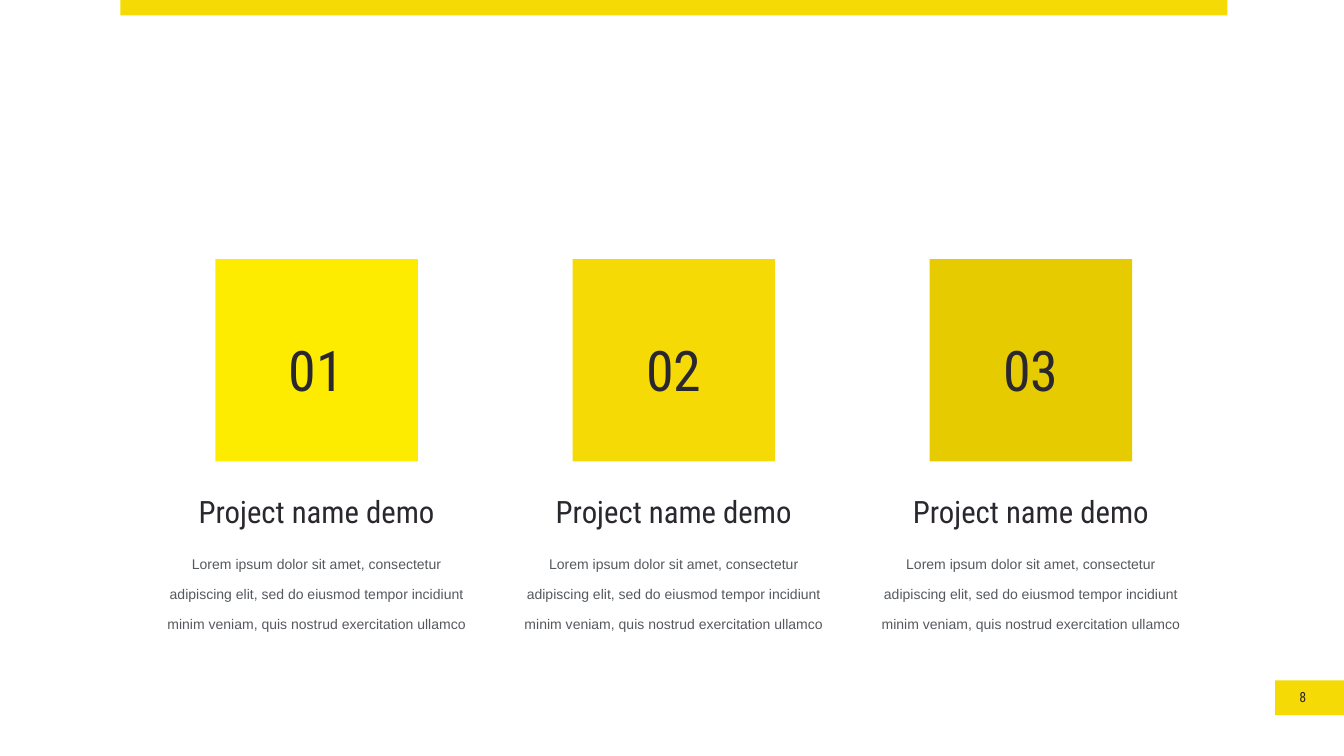
from dataclasses import dataclass

from pptx import Presentation
from pptx.dml.color import RGBColor
from pptx.enum.shapes import MSO_SHAPE
from pptx.enum.text import MSO_ANCHOR, PP_ALIGN
from pptx.util import Cm, Pt


@dataclass(frozen=True)
class Theme:
    """Colours, fonts and type sizes of the slide."""
    yellow: str = "F5DA06"
    squares: tuple = ("FDEC00", "F5DA06", "E6CB01")
    dark: str = "2A272E"
    grey: str = "55595E"
    heading_font: str = "Roboto Condensed"
    body_font: str = "Arial"
    number_size: int = 80
    name_size: int = 44
    body_size: int = 20


theme = Theme()


def add_block(shapes, left, top, width, height, color):
    """Add a plain filled rectangle, measured in centimetres."""
    shape = shapes.add_shape(
        MSO_SHAPE.RECTANGLE, Cm(left), Cm(top), Cm(width), Cm(height))
    shape.shadow.inherit = False
    shape.fill.solid()
    shape.fill.fore_color.rgb = RGBColor.from_string(color)
    shape.line.fill.background()


def add_text(shapes, left, top, width, height, text, size, line_spacing=1.2,
             font=theme.heading_font, color=theme.dark,
             align=PP_ALIGN.CENTER, inset=(0.1, 0.1)):
    """Add a wrapped text box with one run, measured in centimetres."""
    box = shapes.add_textbox(Cm(left), Cm(top), Cm(width), Cm(height))
    frame = box.text_frame
    frame.word_wrap = True
    frame.vertical_anchor = MSO_ANCHOR.TOP
    frame.margin_left = frame.margin_right = Cm(inset[0])
    frame.margin_top = frame.margin_bottom = Cm(inset[1])
    paragraph = frame.paragraphs[0]
    paragraph.alignment = align
    paragraph.line_spacing = line_spacing
    run = paragraph.add_run()
    run.text = text
    run.font.name = font
    run.font.size = Pt(size)
    run.font.color.rgb = RGBColor.from_string(color)


presentation = Presentation()
presentation.slide_width = Cm(67.74)
presentation.slide_height = Cm(38.1)
slide = presentation.slides.add_slide(presentation.slide_layouts[6])

# Page number and top bar
add_block(slide.shapes, 64.27, 34.29, 3.47, 1.75, theme.yellow)
add_text(slide.shapes, 64.27, 34.62, 1.67, 1.07, "8", theme.body_size,
         line_spacing=1.0, align=PP_ALIGN.RIGHT)
add_block(slide.shapes, 6.07, 0, 55.8, 0.78, theme.yellow)

# Three project columns around evenly spaced centres
first_center, column_pitch = 15.96, 18
square_side, name_width, number_width, body_width = 10.2, 17.4, 6, 15.6
description = (
    "Lorem ipsum dolor sit amet, consectetur adipiscing elit, sed do eiusmod "
    "tempor incidiunt minim veniam, quis nostrud exercitation ullamco")

for index, square_color in enumerate(theme.squares):
    center = first_center + index * column_pitch
    column = slide.shapes.add_group_shape().shapes
    add_text(column, center - name_width / 2, 24.36, name_width, 2.8,
             "Project name demo", theme.name_size)
    add_block(column, center - square_side / 2, 13.06,
              square_side, square_side, square_color)
    add_text(column, center - number_width / 2, 16.15, number_width, 4,
             f"{index + 1:02d}", theme.number_size)
    add_text(column, center - body_width / 2, 27.18, body_width, 4.65,
             description, theme.body_size, line_spacing=1.8,
             font=theme.body_font, color=theme.grey, inset=(0.25, 0.13))

presentation.save("out.pptx")
